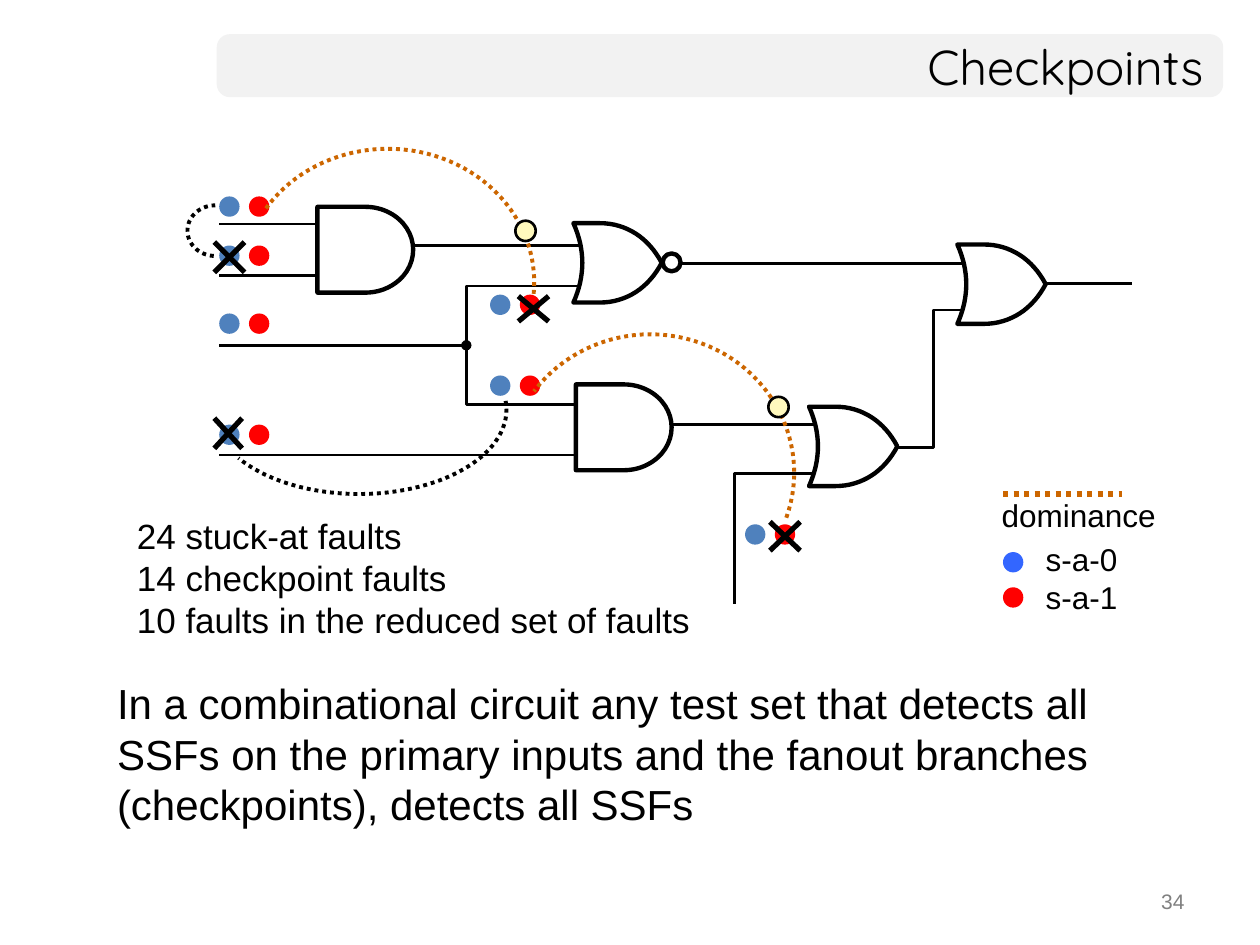
from math import cos, radians, sin

from lxml import etree
from pptx import Presentation
from pptx.dml.color import RGBColor
from pptx.enum.dml import MSO_LINE
from pptx.enum.shapes import MSO_CONNECTOR, MSO_SHAPE
from pptx.enum.text import MSO_ANCHOR, PP_ALIGN
from pptx.oxml.ns import qn
from pptx.util import Cm, Pt

COLORS = {
    "black": "000000", "white": "FFFFFF", "bar": "F2F2F2", "number": "808080",
    "blue": "4F81BD", "key blue": "3366FF", "red": "FF0000",
    "yellow": "FFF9BD", "orange": "CC6600",
}

# All positions and sizes are in centimetres.
TITLE = "Checkpoints"
SUMMARY = ["24 stuck-at faults", "14 checkpoint faults",
           "10 faults in the reduced set of faults"]
THEOREM = ("In a combinational circuit any test set that detects all SSFs on the "
           "primary inputs and the fanout branches (checkpoints), detects all SSFs")

INPUT_X, BRANCH_X, LAST_X = 4.42, 9.88, 15.02
STEM_X = 9.4

STRAIGHT_WIRES = [  # right end, left end, y
    (7.01, INPUT_X, 4.52), (7.01, INPUT_X, 5.56), (11.81, INPUT_X, 9.17),
    (12.22, 7.8, 4.95), (20.02, 13, 5.31), (17.2, 12.8, 8.56), (22.81, 20.02, 5.72),
]
STEM_WIRE = (STEM_X, INPUT_X, 6.96)
BENT_WIRES = [
    [(11.96, 5.77), (STEM_X, 5.77), (STEM_X, 8.15), (12.22, 8.15)],
    [(17.6, 9.02), (18.82, 9.02), (18.82, 6.25), (20.02, 6.25)],
    [(16.81, 9.55), (14.81, 9.55), (14.81, 12.17)],
]
AND_GATES = [(6.4, 4.17), (11.61, 7.75)]
OR_GATES = [(11.56, 4.5), (16.31, 8.2), (19.3, 4.93)]
NOR_BUBBLE = (13.36, 5.11)
FAULT_PAIRS = [
    (INPUT_X, 3.96), (INPUT_X, 4.95), (INPUT_X, 6.32), (INPUT_X, 8.56),
    (LAST_X, 10.57), (BRANCH_X, 5.94), (BRANCH_X, 7.57),
]
REDUCTIONS = [  # arc centre, radii, start and end angle, colour; cross box
    ((4.34, 4.65), (0.56, 0.51), (93, 270), "black", (4.32, 4.88, 0.61, 0.61)),
    ((7.82, 5.69), (2.95, 2.69), (5, -148), "orange", (10.45, 5.97, 0.61, 0.51)),
    ((7.24, 8.26), (2.97, 1.7), (-6, 145), "black", (4.32, 8.43, 0.56, 0.61)),
    ((13.11, 9.53), (2.9, 2.79), (19, -144), "orange", (15.52, 10.52, 0.61, 0.58)),
]
DOMINATED = [(15.49, 8), (10.39, 4.45)]
LEGEND_X = 20.22
LEGEND_DOTS = [(11.84, "red"), (11.13, "key blue")]
DOT, PAIR_STEP = 0.41, 0.6

deck = Presentation()
deck.slide_width, deck.slide_height = Cm(25.4), Cm(19.05)
page = deck.slides.add_slide(deck.slide_layouts[6])


def rgb(name):
    return RGBColor.from_string(COLORS[name])


def set_line(shape, color, width, dotted=False):
    shape.line.color.rgb = rgb(color)
    shape.line.width = Pt(width)
    if dotted:
        shape.line.dash_style = MSO_LINE.ROUND_DOT


def set_look(shape, fill=None, line=None, width=1.5, dotted=False):
    shape.shadow.inherit = False
    if fill:
        shape.fill.solid()
        shape.fill.fore_color.rgb = rgb(fill)
    else:
        shape.fill.background()
    if line:
        set_line(shape, line, width, dotted)
    else:
        shape.line.fill.background()
    return shape


def add_preset(kind, x, y, w, h, **look):
    return set_look(page.shapes.add_shape(kind, Cm(x), Cm(y), Cm(w), Cm(h)), **look)


def add_dot(x, y, fill, line=None):
    add_preset(MSO_SHAPE.OVAL, x, y, DOT, DOT, fill=fill, line=line)


def add_line(x1, y1, x2, y2, color="black", width=1.5, dotted=False):
    line = page.shapes.add_connector(MSO_CONNECTOR.STRAIGHT, Cm(x1), Cm(y1), Cm(x2), Cm(y2))
    set_line(line, color, width, dotted)
    etree.SubElement(line._element.spPr, qn("a:effectLst"))
    return line


def add_outline(points, close=False, **look):
    spots = [(Cm(x), Cm(y)) for x, y in points]
    builder = page.shapes.build_freeform(*spots[0])
    builder.add_line_segments(spots[1:], close=close)
    set_look(builder.convert_to_shape(), **look)


def bezier(a, b, c, d, steps=16):
    """Points along a cubic curve from a to d."""
    for i in range(steps + 1):
        t = i / steps
        s = 1 - t
        yield tuple(s**3 * p + 3 * s * s * t * q + 3 * s * t * t * r + t**3 * e
                    for p, q, r, e in zip(a, b, c, d))


def ellipse_arc(center, radii, angles, steps=48):
    (cx, cy), (rx, ry), (start, end) = center, radii, angles
    for i in range(steps + 1):
        angle = radians(start + (end - start) * i / steps)
        yield cx + rx * cos(angle), cy + ry * sin(angle)


def add_or_gate(x, y, w=1.78, h=1.6):
    upper = list(bezier((0.53, 0), (1.07, 0), (1.52, 0.3), (w, h / 2)))
    lower = [(px, h - py) for px, py in reversed(upper)]
    back = list(bezier((0, h), (0.24, 1.07), (0.24, 0.53), (0, 0)))
    outline = [(x + px, y + py) for px, py in upper + lower + back]
    add_outline(outline, close=True, fill="white", line="black", width=2.5)


def add_text(lines, x, y, w, h, size, font="Arial", color="black",
             align=PP_ALIGN.LEFT, anchor=MSO_ANCHOR.TOP, wrap=True):
    box = page.shapes.add_textbox(Cm(x), Cm(y), Cm(w), Cm(h))
    frame = box.text_frame
    frame.word_wrap = wrap
    frame.vertical_anchor = anchor
    frame.text = "\n".join(lines)
    for para in frame.paragraphs:
        para.alignment = align
        para.font.name, para.font.size = font, Pt(size)
        para.font.color.rgb = rgb(color)


bar = add_preset(MSO_SHAPE.ROUNDED_RECTANGLE, 4.37, 0.69, 20.29, 1.27, fill="bar")
bar.adjustments[0] = 0.21
add_text(["34"], 18.21, 17.78, 5.92, 0.89, 12, color="number", align=PP_ALIGN.RIGHT)
add_text([TITLE], 4.37, 0.69, 20.14, 1.27, 28, font="Quicksand",
         align=PP_ALIGN.RIGHT, anchor=MSO_ANCHOR.MIDDLE)
add_text([THEOREM], 2.11, 13.54, 22.02, 3.76, 24)

for wire in BENT_WIRES:
    add_outline(wire, line="black")
for right, left, y in STRAIGHT_WIRES:
    add_line(right, y, left, y)
right, left, y = STEM_WIRE
stem = add_line(right, y, left, y)
etree.SubElement(stem.line._get_or_add_ln(), qn("a:headEnd"), type="oval")

for x, y in AND_GATES:
    add_preset(MSO_SHAPE.FLOWCHART_DELAY, x, y, 1.93, 1.73,
               fill="white", line="black", width=2.5)
add_preset(MSO_SHAPE.FLOWCHART_CONNECTOR, *NOR_BUBBLE, 0.36, 0.36,
           fill="white", line="black", width=2.5)
add_text(SUMMARY, 2.51, 10.24, 11.76, 2.82, 20, wrap=False)

for x, y in FAULT_PAIRS:
    add_dot(x + PAIR_STEP, y, "red")
    add_dot(x, y, "blue")
for center, radii, angles, color, (x, y, w, h) in REDUCTIONS:
    add_outline(list(ellipse_arc(center, radii, angles)), line=color, width=2.25, dotted=True)
    add_line(x, y, x + w, y + h, width=3)
    add_line(x + w, y, x, y + h, width=3)

add_line(LEGEND_X, 9.96, 22.61, 9.96, "orange", 3, dotted=True)
add_text(["dominance"], 19.94, 9.88, 3.66, 1.02, 18, wrap=False)
for y, color in LEGEND_DOTS:
    add_dot(LEGEND_X, y, color)
add_text(["s-a-0", "s-a-1"], 20.83, 10.77, 1.98, 1.8, 18, wrap=False)

for x, y in DOMINATED:
    add_dot(x, y, "yellow", line="black")
for x, y in OR_GATES:
    add_or_gate(x, y)

deck.save("out.pptx")
